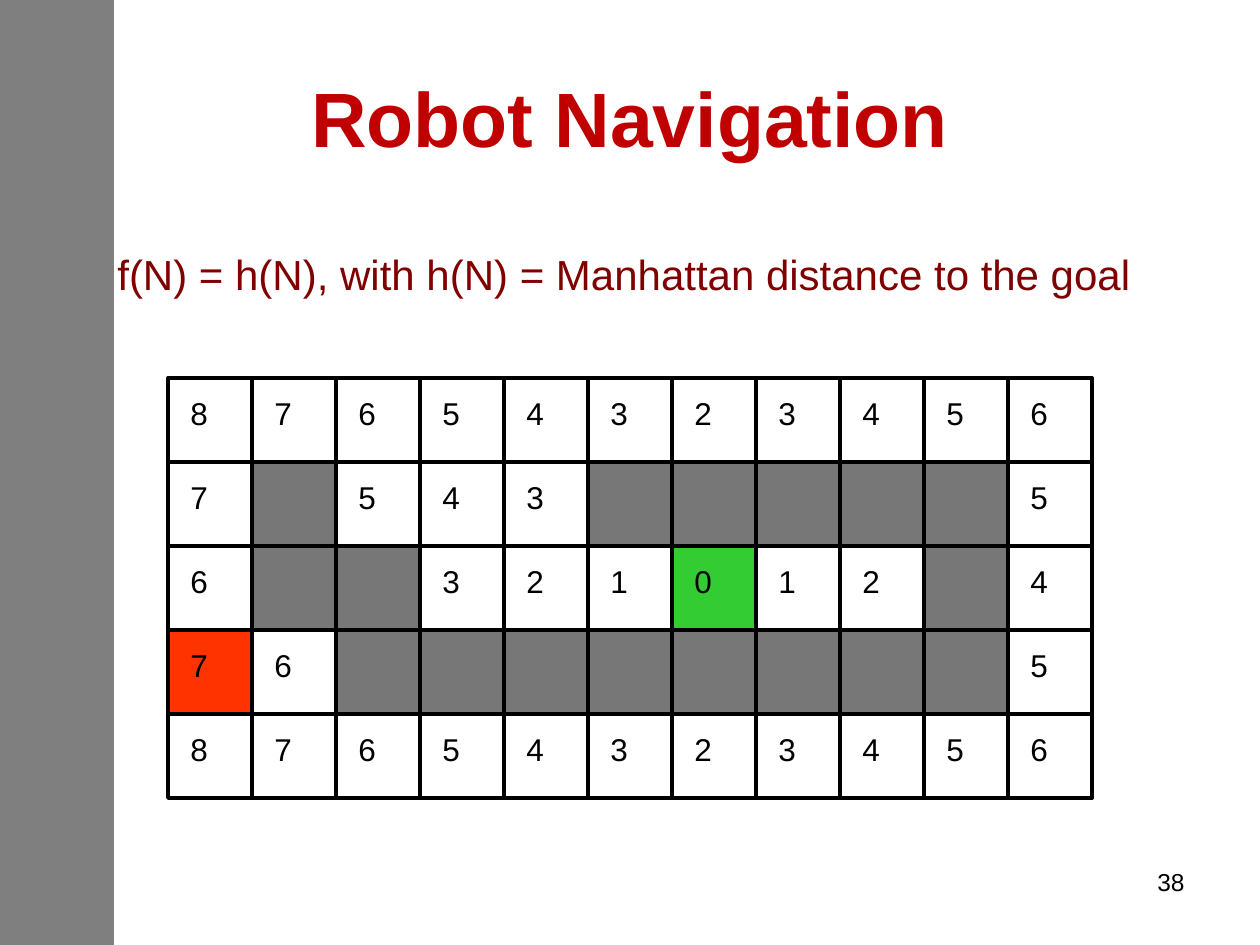
from lxml import etree
from pptx import Presentation
from pptx import util as u
from pptx.dml.color import RGBColor
from pptx.enum import shapes, text
from pptx.oxml import ns

PX = 914400 / 126
COLORS = {
    "black": "000000",
    "title": "C00000",
    "formula": "800000",
    "wall": "777777",
    "start": "FF3300",
    "goal": "33CC33",
}
GRID = [
    "87654323456",
    "7#543#####5",
    "6##321012#4",
    "76########5",
    "87654323456",
]
START, GOAL = (3, 0), (2, 6)
LEFT, TOP, CELL = 168, 378, 84
RIGHT = LEFT + CELL * len(GRID[0])
BOTTOM = TOP + CELL * len(GRID)


def px(*lengths):
    return [u.Emu(round(length * PX)) for length in lengths]


def write(box, words, size, color, align=text.PP_ALIGN.LEFT):
    box.text_frame.text = words
    para = box.text_frame.paragraphs[0]
    para.alignment = align
    para.font.name = "Arial"
    para.font.size = u.Pt(size)
    para.font.color.rgb = RGBColor.from_string(COLORS[color])
    return para


deck = Presentation()
deck.slide_width, deck.slide_height = px(1260, 945)
page = deck.slides.add_slide(deck.slide_layouts[5])

sidebar = page.shapes.add_shape(shapes.MSO_SHAPE.RECTANGLE, *px(0, 0, 114, 945))
sidebar.shadow.inherit = False
sidebar.line.fill.background()
sidebar.fill.solid()
sidebar.fill.fore_color.rgb = RGBColor.from_string(COLORS["black"])
tint = sidebar.fill._xPr.find(".//" + ns.qn("a:srgbClr"))
etree.SubElement(tint, ns.qn("a:alpha"), val="50000")

title = page.shapes.title
title.left, title.top, title.width, title.height = px(63, 38, 1134, 157)
title.text_frame.vertical_anchor = text.MSO_ANCHOR.MIDDLE
write(title, "Robot Navigation", 44, "title", text.PP_ALIGN.CENTER).font.bold = True

number = page.shapes.add_textbox(*px(903, 861, 294, 65))
number.text_frame.word_wrap = True
write(number, "38", 14, "black", text.PP_ALIGN.RIGHT)

formula = page.shapes.add_textbox(*px(105, 242, 1074, 63))
formula.text_frame.word_wrap = False
write(formula, "f(N) = h(N), with h(N) = Manhattan distance to the goal", 24, "formula")

maze = page.shapes.add_group_shape()
rects = [(LEFT, TOP, RIGHT - LEFT, BOTTOM - TOP, None)]
for row, cells in enumerate(GRID):
    for column, cell in enumerate(cells):
        kind = {START: "start", GOAL: "goal"}.get((row, column))
        if cell == "#":
            kind = "wall"
        if kind:
            rects.append((LEFT + column * CELL, TOP + row * CELL, CELL, CELL, kind))

for *place, kind in rects:
    rect = maze.shapes.add_shape(shapes.MSO_SHAPE.RECTANGLE, *px(*place))
    rect.shadow.inherit = False
    rect.line.color.rgb = RGBColor.from_string(COLORS["black"])
    rect.line.width = u.Pt(2.25)
    if kind:
        rect.fill.solid()
        rect.fill.fore_color.rgb = RGBColor.from_string(COLORS[kind])
    else:
        rect.fill.background()

lines = [(x, TOP, x, BOTTOM) for x in range(LEFT + CELL, RIGHT, CELL)]
lines += [(LEFT, y, RIGHT, y) for y in range(TOP + CELL, BOTTOM, CELL)]
for ends in lines:
    line = maze.shapes.add_connector(shapes.MSO_CONNECTOR.STRAIGHT, *px(*ends))
    line.line.color.rgb = RGBColor.from_string(COLORS["black"])
    line.line.width = u.Pt(2.25)
    etree.SubElement(line._element.spPr, ns.qn("a:effectLst"))

for row, cells in enumerate(GRID):
    for column, cell in enumerate(cells):
        if cell != "#":
            place = px(LEFT + column * CELL + 10, TOP + row * CELL + 10, 48, 63)
            distance = maze.shapes.add_textbox(*place)
            distance.text_frame.word_wrap = False
            write(distance, cell, 18, "black")

deck.save("out.pptx")
